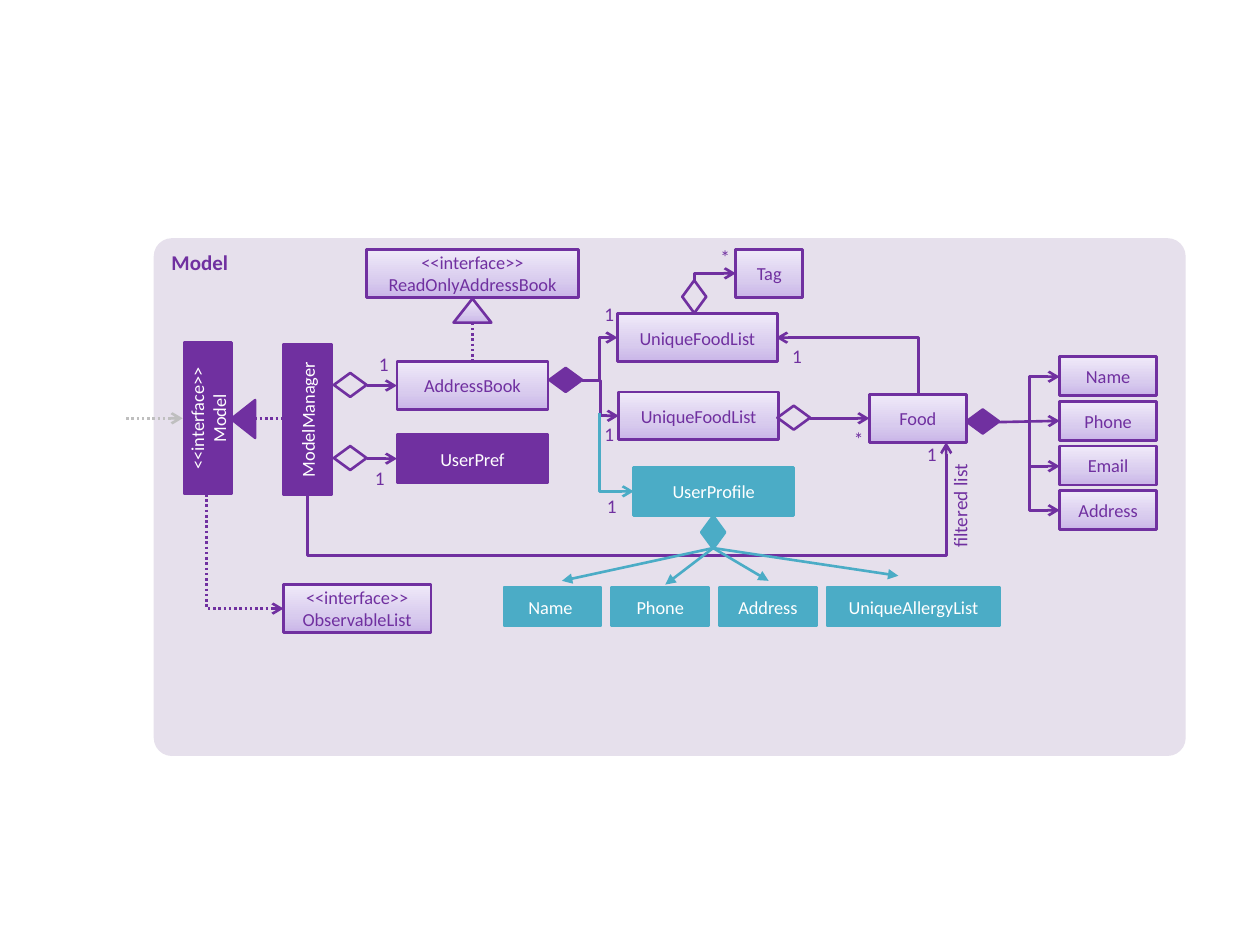
"""Build a class diagram slide of the Model component."""
from copy import deepcopy

from lxml.etree import SubElement
from pptx import Presentation
from pptx.dml.color import RGBColor
from pptx.enum.dml import MSO_LINE
from pptx.enum.shapes import MSO_CONNECTOR, MSO_SHAPE
from pptx.enum.text import MSO_ANCHOR, PP_ALIGN
from pptx.oxml.ns import qn
from pptx.util import Inches, Pt

PURPLE = RGBColor(0x70, 0x30, 0xA0)
TEAL = RGBColor(0x4B, 0xAC, 0xC6)
PANEL = RGBColor(0xE6, 0xE0, 0xEC)
GREY = RGBColor(0xBF, 0xBF, 0xBF)
WHITE = RGBColor(0xFF, 0xFF, 0xFF)
GRADIENT = [(0, RGBColor(0xC9, 0xB5, 0xE8)), (0.35, RGBColor(0xD8, 0xCB, 0xEE)),
            (1, RGBColor(0xF0, 0xEA, 0xF9))]
FONT = "Calibri"
BOX_HEIGHT, FIELD_WIDTH, FIELD_HEIGHT = 0.38, 0.77, 0.31
ATTRIBUTE_LEFT, ATTRIBUTE_TOP, ATTRIBUTE_STEP = 8.41, 2.83, 0.355
PROFILE_LEFT, PROFILE_TOP, PROFILE_STEP = 4.0, 4.66, 0.855

LIGHT_CLASSES = {
    "address book": ("AddressBook", 3.15, 2.87, 1.2),
    "food list": ("UniqueFoodList", 4.91, 3.11, 1.27),
    "upper food list": ("UniqueFoodList", 4.9, 2.49, 1.27),
    "food": ("Food", 6.9, 3.13, 0.77),
    "tag": ("Tag", 5.84, 1.98, 0.53),
    "read only": ("<<interface>>\vReadOnlyAddressBook", 2.91, 1.98, 1.68),
    "observable list": ("<<interface>>\vObservableList", 2.25, 4.64, 1.17),
}
SOLID_CLASSES = {
    "user pref": ("UserPref", 3.15, 3.45, 1.2, PURPLE, 0),
    "manager": ("ModelManager", 1.84, 3.14, 1.2, PURPLE, 270),
    "model": ("<<interface>>\nModel", 1.05, 3.13, 1.2, PURPLE, 270),
    "user profile": ("UserProfile", 5.03, 3.71, 1.27, TEAL, 0),
}
ATTRIBUTES = ["Name", "Phone", "Email", "Address"]
PROFILE_FIELDS = [("Name ", FIELD_WIDTH), ("Phone", FIELD_WIDTH), ("Address", FIELD_WIDTH),
                  ("UniqueAllergyList", 1.37)]
DIAMONDS = [(2.65, 3.54, 0, None), (2.65, 2.96, 0, None), (4.36, 2.92, 0, PURPLE),
            (6.17, 3.22, 0, None), (5.38, 2.26, 270, None), (7.67, 3.25, 0, PURPLE),
            (5.53, 4.13, 90, TEAL)]
MULTIPLICITIES = [("1", 4.73, 2.4), ("1", 4.73, 3.35), ("1", 6.22, 2.73), ("*", 5.65, 1.95),
                  ("*", 6.71, 3.39), ("1", 2.94, 2.8), ("1", 2.91, 3.7), ("1", 7.29, 3.51),
                  ("1", 4.75, 3.92)]
STRAIGHT_JOINS = [((2.91, 3.64), "user pref"), ((2.91, 3.06), "address book"),
                  ((6.43, 3.32), "food"), ((7.93, 3.35), "Phone")]
SIDE_ELBOWS = [((4.62, 3.02), (4.91, 3.3)), ((4.62, 3.02), (4.9, 2.68))] + [
    ((7.93, 3.35), (8.41, y)) for y in (2.99, 3.7, 4.05)]
CORNER_ELBOWS = [((5.51, 2.23), (5.84, 2.17), PURPLE, False),
                 ((1.64, 3.92), (2.25, 4.83), PURPLE, True),
                 ((7.29, 3.13), (6.16, 2.68), PURPLE, False),
                 ((4.76, 3.28), (5.03, 3.9), TEAL, False)]
PROFILE_HUB = (5.66, 4.35)
PROFILE_TIPS = [(5.28, 4.64), (4.46, 4.61), (6.1, 4.61), (7.13, 4.57)]


def write(shape, text, size, color, alignment, bold=False):
    shape.text_frame.text = text
    for paragraph in shape.text_frame.paragraphs:
        paragraph.alignment = alignment
        font = paragraph.font
        font.name, font.size, font.bold, font.color.rgb = FONT, Pt(size), bold, color


def apply_gradient(shape):
    shape.fill.gradient()
    shape.fill.gradient_angle = 90
    stop_list = shape._element.spPr.find(".//" + qn("a:gsLst"))
    stop_list.insert(1, deepcopy(stop_list[0]))
    for stop, (position, color) in zip(shape.fill.gradient_stops, GRADIENT):
        stop.position, stop.color.rgb = position, color


def add_figure(slide, preset, left, top, width, height, fill=None, line=PURPLE, rotation=0):
    shape = slide.shapes.add_shape(preset, *map(Inches, (left, top, width, height)))
    shape.shadow.inherit = False
    shape.rotation = rotation
    if fill == GRADIENT:
        apply_gradient(shape)
    elif fill is None:
        shape.fill.background()
    else:
        shape.fill.solid()
        shape.fill.fore_color.rgb = fill
    if line is None:
        shape.line.fill.background()
    else:
        shape.line.color.rgb, shape.line.width = line, Pt(1.5)
    return shape


def add_class(slide, name, left, top, width, height=BOX_HEIGHT, fill=GRADIENT, rotation=0):
    light = fill == GRADIENT
    shape = add_figure(slide, MSO_SHAPE.RECTANGLE, left, top, width, height, fill,
                       PURPLE if light else fill, rotation)
    shape.text_frame.vertical_anchor = MSO_ANCHOR.MIDDLE
    write(shape, name, 10.5, PURPLE if light else WHITE, PP_ALIGN.CENTER)
    return shape


def add_label(slide, text, left, top, width, height, alignment):
    label = slide.shapes.add_textbox(*map(Inches, (left, top, width, height)))
    label.text_frame.word_wrap = True
    write(label, text, 11, PURPLE, alignment)
    return label


def add_link(slide, start, end, kind=MSO_CONNECTOR.STRAIGHT, color=PURPLE, head="arrow",
             dotted=False):
    link = slide.shapes.add_connector(kind, *map(Inches, start + end))
    link.line.color.rgb, link.line.width = color, Pt(1.5)
    if dotted:
        link.line.dash_style = MSO_LINE.ROUND_DOT
    if head:
        SubElement(link.line._get_or_add_ln(), qn("a:tailEnd"), type=head)
    SubElement(link._element.spPr, qn("a:effectLst"))
    return link


def add_vertical_elbow(slide, start, end, preset="bentConnector2", adjustments=(), **style):
    across, down = end[0] - start[0], end[1] - start[1]
    quarter = 1 if (across > 0) == (down < 0) else -1
    middle = [(a + b) / 2 for a, b in zip(start, end)]
    half = (quarter * down / 2, -quarter * across / 2)
    link = add_link(slide, tuple(m - h for m, h in zip(middle, half)),
                    tuple(m + h for m, h in zip(middle, half)), MSO_CONNECTOR.ELBOW, **style)
    properties = link._element.spPr
    properties.find(qn("a:xfrm")).set("rot", str(quarter * 90 % 360 * 60000))
    geometry = properties.find(qn("a:prstGeom"))
    geometry.set("prst", preset)
    for number, value in enumerate(adjustments, 1):
        SubElement(geometry.find(qn("a:avLst")), qn("a:gd"), name=f"adj{number}",
                   fmla=f"val {round(value * 100000)}")


def add_classes(slide):
    boxes = {key: add_class(slide, *row) for key, row in LIGHT_CLASSES.items()}
    for key, (name, left, top, width, fill, rotation) in SOLID_CLASSES.items():
        boxes[key] = add_class(slide, name, left, top, width, fill=fill, rotation=rotation)
    for row, name in enumerate(ATTRIBUTES):
        boxes[name] = add_class(slide, name, ATTRIBUTE_LEFT, ATTRIBUTE_TOP + row * ATTRIBUTE_STEP,
                                FIELD_WIDTH, FIELD_HEIGHT)
    for column, (name, width) in enumerate(PROFILE_FIELDS):
        add_class(slide, name, PROFILE_LEFT + column * PROFILE_STEP, PROFILE_TOP, width,
                  FIELD_HEIGHT, TEAL)
    return boxes


def add_links(slide, boxes):
    for start, target in STRAIGHT_JOINS:
        add_link(slide, start, start).end_connect(boxes[target], 1)
    for start, end in SIDE_ELBOWS:
        add_link(slide, start, end, MSO_CONNECTOR.ELBOW)
    add_vertical_elbow(slide, (2.44, 3.92), (7.51, 3.51), "bentConnector4", (-1.2, 1))
    for start, end, color, dotted in CORNER_ELBOWS:
        add_vertical_elbow(slide, start, end, color=color, dotted=dotted)
    add_link(slide, (1, 3.32), (1.45, 3.32), color=GREY, dotted=True)
    add_link(slide, (2.02, 3.32), (2.26, 3.32), head=None, dotted=True)
    add_link(slide, (3.75, 2.56), (3.75, 2.87), head=None,
             dotted=True).end_connect(boxes["address book"], 0)
    for tip in PROFILE_TIPS:
        add_link(slide, PROFILE_HUB, tip, color=TEAL, head="triangle")


def main():
    presentation = Presentation()
    presentation.slide_width, presentation.slide_height = Inches(10), Inches(7.5)
    slide = presentation.slides.add_slide(presentation.slide_layouts[6])
    panel = add_figure(slide, MSO_SHAPE.ROUNDED_RECTANGLE, 1.22, 1.89, 8.19, 4.11, PANEL, None)
    panel.adjustments[0] = 0.035
    panel.text_frame.vertical_anchor = MSO_ANCHOR.TOP
    write(panel, "Model", 12, PURPLE, PP_ALIGN.LEFT, bold=True)
    boxes = add_classes(slide)
    for left, top, rotation, fill in DIAMONDS:
        add_figure(slide, MSO_SHAPE.FLOWCHART_DECISION, left, top, 0.26, 0.19, fill,
                   fill or PURPLE, rotation)
    add_figure(slide, MSO_SHAPE.ISOSCELES_TRIANGLE, 1.78, 3.23, 0.3, 0.19, PURPLE, rotation=270)
    add_figure(slide, MSO_SHAPE.ISOSCELES_TRIANGLE, 3.6, 2.37, 0.3, 0.19, GRADIENT)
    add_links(slide, boxes)
    for text, left, top in MULTIPLICITIES:
        frame = add_label(slide, text, left, top, 0.21, 0.2, PP_ALIGN.CENTER).text_frame
        frame.margin_left = frame.margin_right = frame.margin_top = frame.margin_bottom = 0
    add_label(slide, "filtered list", 7.14, 3.92, 0.96, 0.29, PP_ALIGN.RIGHT).rotation = 270
    presentation.save("out.pptx")


if __name__ == "__main__":
    main()
